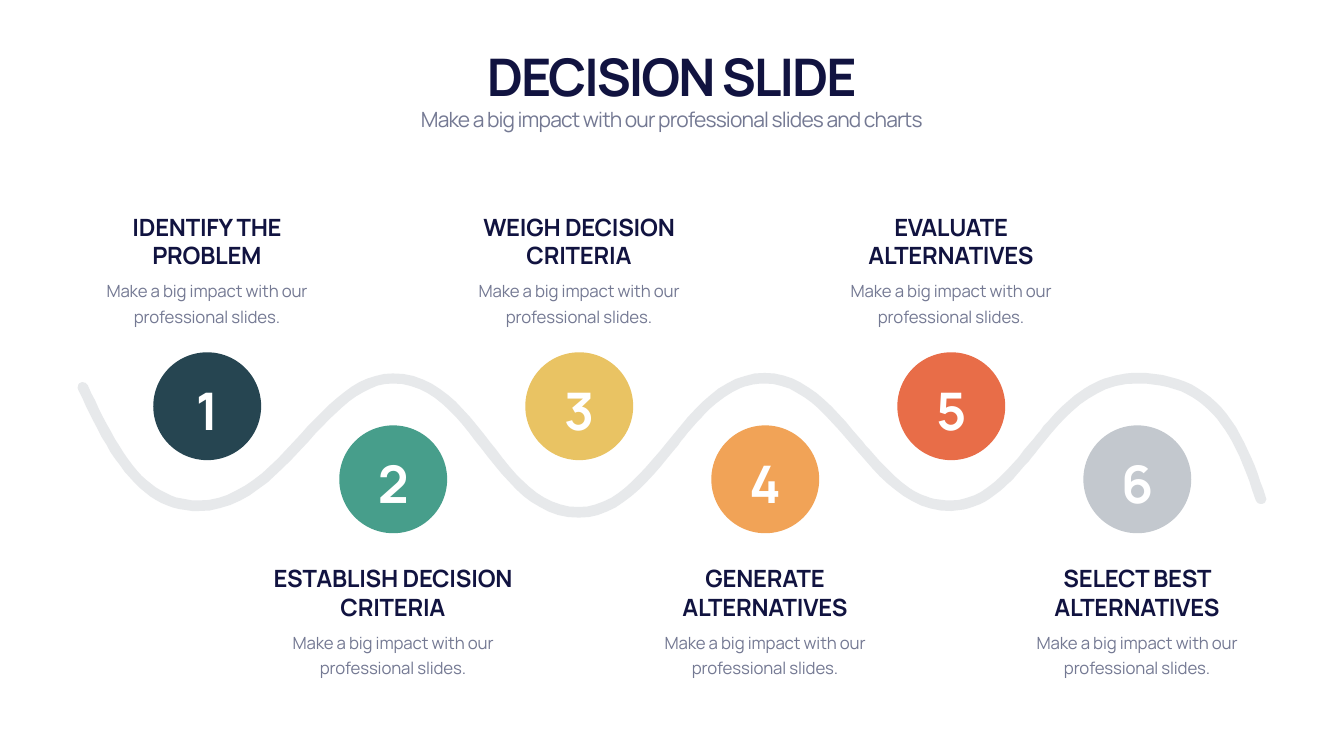
from pptx import Presentation
from pptx import util as u
from pptx.dml.color import RGBColor
from pptx.enum import shapes, text
from pptx.oxml.ns import qn
from lxml import etree

PX = 9144
FONT = "Manrope"
COLORS = {
    "navy": "111340", "slate": "747993", "white": "FFFFFF", "teal": "264551",
    "green": "479E8B", "yellow": "E9C363", "orange": "F1A357",
    "red": "E86D48", "gray": "C3C8CE",
}
STYLES = {
    "title": (74, "navy", True, -290, None),
    "subtitle": (30, "slate", False, -120, None),
    "number": (74, "white", True, -290, None),
    "heading": (34, "navy", True, -30, None),
    "detail": (24, "slate", False, -20, 36),
}
STEPS = [
    ("IDENTIFY THE PROBLEM", "teal"),
    ("ESTABLISH DECISION CRITERIA", "green"),
    ("WEIGH DECISION CRITERIA", "yellow"),
    ("GENERATE ALTERNATIVES", "orange"),
    ("EVALUATE ALTERNATIVES", "red"),
    ("SELECT BEST ALTERNATIVES", "gray"),
]
DETAIL = "Make a big impact with our professional slides."
WAVE_START = (1148, 1027)
WAVE_CURVES = [
    ((1061, 1027), (1007, 957), (955, 890)),
    ((904, 824), (856, 761), (779, 761)),
    ((718, 761), (666, 817), (612, 876)),
    ((549, 944), (484, 1014), (394, 1014)),
    ((340, 1014), (297, 993), (257, 947)),
    ((217, 903), (185, 837), (155, 773)),
    ((153, 768), (155, 761), (160, 759)),
    ((165, 757), (171, 759), (174, 764)),
    ((203, 827), (235, 891), (272, 934)),
    ((308, 974), (347, 993), (394, 993)),
    ((475, 993), (537, 927), (596, 862)),
    ((654, 799), (708, 741), (779, 741)),
    ((866, 741), (920, 810), (972, 877)),
    ((1023, 943), (1071, 1006), (1148, 1006)),
    ((1218, 1006), (1268, 944), (1322, 879)),
    ((1377, 810), (1434, 740), (1517, 740)),
    ((1595, 740), (1651, 805), (1705, 869)),
    ((1731, 900), (1759, 933), (1789, 957)),
    ((1822, 983), (1853, 994), (1886, 993)),
    ((1952, 992), (1996, 937), (2043, 879)),
    ((2070, 845), (2098, 811), (2131, 785)),
    ((2170, 754), (2211, 740), (2256, 740)),
    ((2326, 740), (2381, 763), (2423, 809)),
    ((2465, 857), (2491, 925), (2511, 987)),
    ((2513, 992), (2510, 998), (2504, 1000)),
    ((2499, 1001), (2493, 998), (2491, 993)),
    ((2464, 909), (2439, 858), (2407, 823)),
    ((2369, 781), (2321, 761), (2256, 761)),
    ((2165, 761), (2111, 827), (2059, 892)),
    ((2034, 923), (2011, 952), (1984, 974)),
    ((1953, 1000), (1921, 1013), (1887, 1014)),
    ((1800, 1014), (1744, 947), (1689, 882)),
    ((1636, 820), (1586, 761), (1517, 761)),
    ((1484, 761), (1453, 773), (1421, 800)),
    ((1391, 825), (1364, 859), (1338, 892)),
    ((1284, 958), (1228, 1027), (1148, 1027)),
]


def curve_points(start, curves, count=12):
    for first, second, end in curves:
        for step in range(1, count + 1):
            t = step / count
            s = 1 - t
            yield tuple(
                s**3 * a + 3 * s * s * t * b + 3 * s * t * t * c + t**3 * d
                for a, b, c, d in zip(start, first, second, end)
            )
        start = end


class SlideBuilder:
    def __init__(self, slide):
        self.slide = slide

    def paint(self, shape, color, opacity=100):
        shape.shadow.inherit = False
        shape.fill.solid()
        shape.fill.fore_color.rgb = RGBColor.from_string(COLORS[color])
        shape.line.fill.background()
        if opacity < 100:
            value = shape._element.spPr.find(qn("a:solidFill"))[0]
            etree.SubElement(value, qn("a:alpha")).set("val", str(opacity * 1000))

    def circle(self, center_x, center_y, size, color):
        left, top = center_x - size // 2, center_y - size // 2
        shape = self.slide.shapes.add_shape(
            shapes.MSO_SHAPE.OVAL, left * PX, top * PX, size * PX, size * PX)
        self.paint(shape, color)

    def curved_shape(self, start, curves, color, opacity):
        builder = self.slide.shapes.build_freeform(*start, scale=PX)
        builder.add_line_segments(curve_points(start, curves), close=True)
        self.paint(builder.convert_to_shape(), color, opacity)

    def label(self, words, style, left, top, width, height, anchor):
        size, color, bold, tracking, spacing = STYLES[style]
        box = self.slide.shapes.add_textbox(
            left * PX, top * PX, width * PX, height * PX)
        frame = box.text_frame
        frame.word_wrap = True
        frame.auto_size = text.MSO_AUTO_SIZE.SHAPE_TO_FIT_TEXT
        frame.vertical_anchor = anchor
        para = frame.paragraphs[0]
        para.text = words
        para.alignment = text.PP_ALIGN.CENTER
        if spacing:
            para.line_spacing = u.Pt(spacing)
        font = para.font
        font.name = FONT
        font.size = u.Pt(size)
        font.bold = bold
        font.color.rgb = RGBColor.from_string(COLORS[color])
        font._rPr.set("spc", str(tracking))


def main():
    deck = Presentation()
    deck.slide_width, deck.slide_height = 2666 * PX, 1500 * PX
    page = SlideBuilder(deck.slides.add_slide(deck.slide_layouts[6]))
    top_anchor = text.MSO_ANCHOR.TOP
    middle = text.MSO_ANCHOR.MIDDLE
    bottom = text.MSO_ANCHOR.BOTTOM

    page.curved_shape(WAVE_START, WAVE_CURVES, "gray", 40)
    for index, (heading, color) in enumerate(STEPS):
        center_x = 411 + 369 * index
        center_y, heading_top = ((806, 415), (951, 1112))[index % 2]
        page.circle(center_x, center_y, 214, color)
        page.label(str(index + 1), "number",
                   center_x - 63, center_y - 60, 126, 135, middle)
        page.label(heading, "heading",
                   center_x - 258, heading_top, 515, 125, bottom)
        page.label(DETAIL, "detail",
                   center_x - 258, heading_top + 128, 515, 109, top_anchor)

    page.label("DECISION SLIDE", "title", 166, 82, 2333, 135, bottom)
    page.label("Make a big impact with our professional slides and charts",
               "subtitle", 166, 207, 2333, 61, top_anchor)
    deck.save("out.pptx")


if __name__ == "__main__":
    main()
